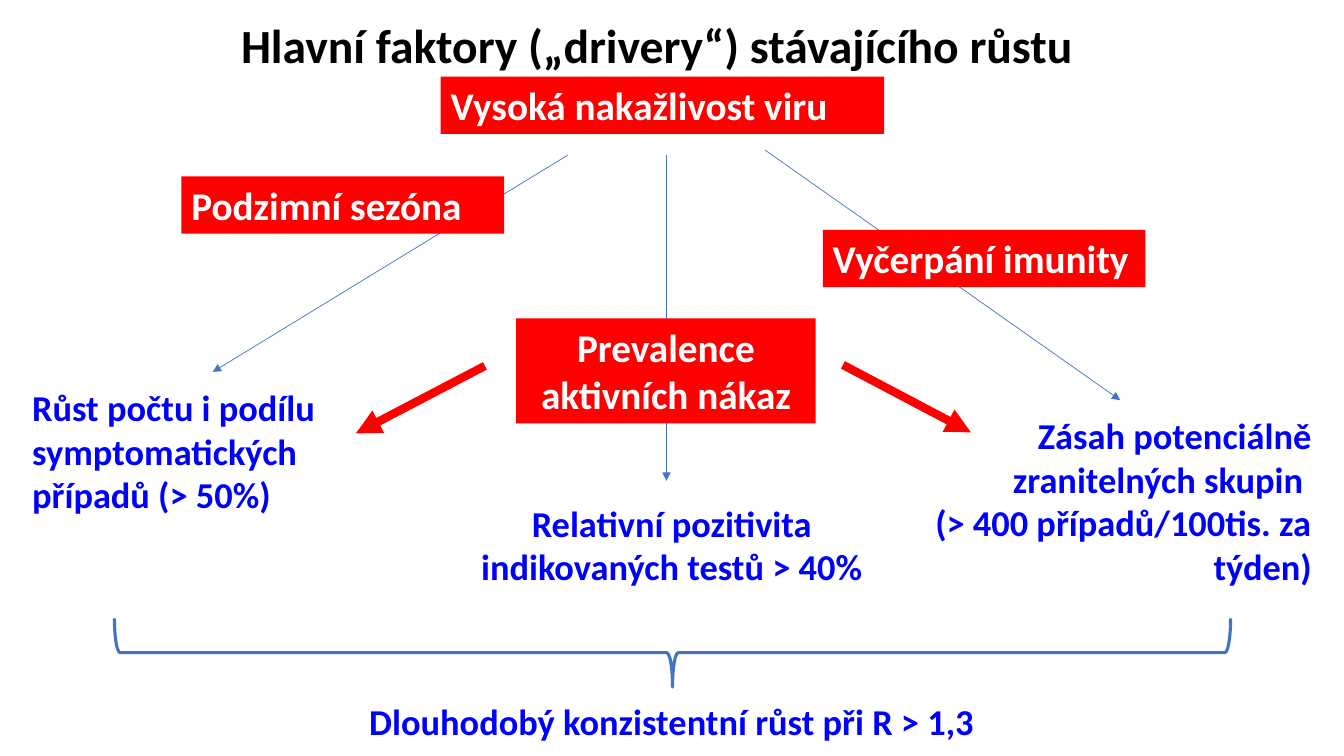
import pptx
import pptx.dml.color
import pptx.enum.shapes
import pptx.enum.text
import pptx.oxml
import pptx.oxml.ns
import pptx.util

TITLE = ("Hlavní faktory („drivery“) stávajícího růstu ", (1.65, 2.27, 95.27, 10.93))
DRIVERS = [
    ("Podzimní sezóna", "left", (13.5, 23.33, 24.01, 7.6)),
    ("Prevalence aktivních nákaz", "center", (38.41, 42.13, 22.28, 13.87)),
    ("Vyčerpání imunity", "left", (61.22, 30.4, 24.01, 7.6)),
    ("Vysoká nakažlivost viru", "left", (32.78, 10.13, 33.01, 7.6)),
]
EFFECTS = [
    ("Růst počtu i podílu symptomatických\npřípadů (> 50%)", "left", (1.65, 50.27, 36.23, 18.8)),
    ("Relativní pozitivita indikovaných testů > 40%", "center", (31.88, 65.6, 36.23, 13.07)),
    ("Zásah potenciálně zranitelných skupin \n(> 400 případů/100tis. za týden)", "right",
     (64.97, 54, 33.38, 24.67)),
    ("Dlouhodobý konzistentní růst při R > 1,3", "center", (10.28, 91.87, 79.44, 7.2)),
]
ARROWS = {
    "thin": [(42.24, 20.53, 15.83, 49.2), (49.59, 20.53, 49.59, 63.6), (56.94, 19.87, 83.35, 52.93)],
    "thick": [(36.08, 48.4, 26.48, 57.33), (62.72, 48.27, 72.24, 57.2)],
}
BRACE = (8.51, 81.8, 83.05, 9.07)

RGB = pptx.dml.color.RGBColor.from_string
Pt = pptx.util.Pt
SHAPE = pptx.enum.shapes.MSO_SHAPE
ALIGN = pptx.enum.text.PP_ALIGN
THEME = {
    "font": "Calibri",
    "title": {"size": 34, "color": "000000"},
    "driver": {"size": 28, "color": "FFFFFF", "fill": "FF0000"},
    "effect": {"size": 26, "color": "0000FF"},
    "thin": {"width": 0.5, "color": "4472C4"},
    "thick": {"width": 6, "color": "FF0000"},
    "brace": {"width": 2.25, "color": "4472C4"},
}

prs = pptx.Presentation()
prs.slide_width, prs.slide_height = pptx.util.Inches(13.33), pptx.util.Inches(7.5)
s = prs.slides.add_slide(prs.slide_layouts[6])


def place(shares):
    sides = (prs.slide_width, prs.slide_height) * 2
    return [round(side * share / 100) for side, share in zip(sides, shares)]


def write(sp, text, align, style):
    tf = sp.text_frame
    tf.word_wrap = True
    tf.vertical_anchor = pptx.enum.text.MSO_ANCHOR.TOP
    tf.text = text
    for p in tf.paragraphs:
        p.alignment = getattr(ALIGN, align.upper())
        for r in p.runs:
            values = {"name": THEME["font"], "size": Pt(style["size"]), "bold": True}
            for name, value in values.items():
                setattr(r.font, name, value)
            r.font.color.rgb = RGB(style["color"])
    return tf


def draw_line(line, style):
    line.width = Pt(style["width"])
    line.color.rgb = RGB(style["color"])


def add_arrow(ends, style):
    cx = s.shapes.add_connector(pptx.enum.shapes.MSO_CONNECTOR.STRAIGHT, *place(ends))
    draw_line(cx.line, style)
    ln = cx.line._get_or_add_ln()
    tail = pptx.oxml.ns.qn("a:tailEnd")
    ln.append(ln.makeelement(tail, {"type": "triangle"}))
    props = cx._element.spPr
    props.append(props.makeelement(pptx.oxml.ns.qn("a:effectLst"), {}))


def add_brace(shares, style):
    x, y, w, h = place(shares)
    sp = s.shapes.add_shape(SHAPE.RIGHT_BRACE, x + (w - h) // 2, y + (h - w) // 2, h, w)
    sp.rotation = 90
    sp.shadow.inherit = False
    sp.fill.background()
    draw_line(sp.line, style)


title, area = TITLE
tf = write(s.shapes.add_textbox(*place(area)), title, "center", THEME["title"])
tf.paragraphs[0].line_spacing = 0.9

for kind, arrows in ARROWS.items():
    for ends in arrows:
        add_arrow(ends, THEME[kind])

for text, align, area in EFFECTS:
    write(s.shapes.add_textbox(*place(area)), text, align, THEME["effect"])

add_brace(BRACE, THEME["brace"])

for text, align, area in DRIVERS:
    sp = s.shapes.add_shape(SHAPE.RECTANGLE, *place(area))
    sp.shadow.inherit = False
    sp.fill.solid()
    sp.fill.fore_color.rgb = RGB(THEME["driver"]["fill"])
    sp.line.fill.background()
    write(sp, text, align, THEME["driver"])

prs.save("out.pptx")
